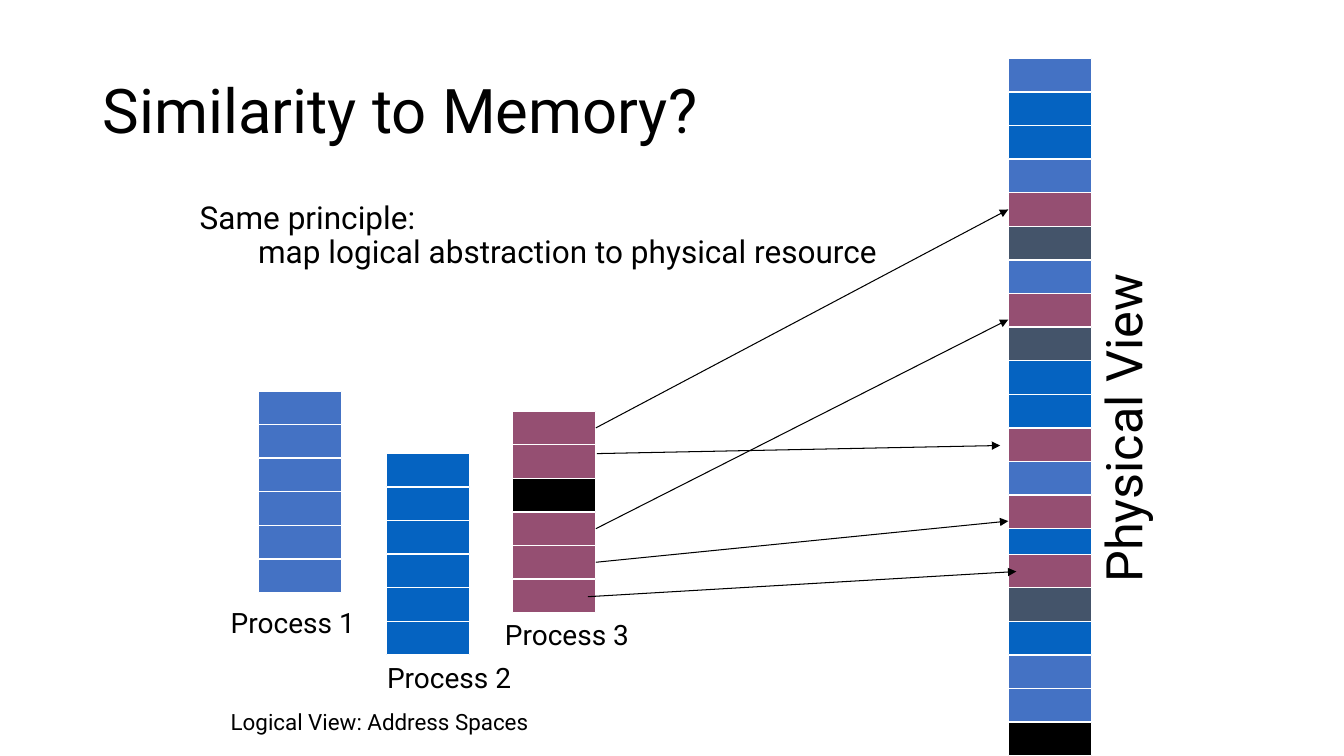
from dataclasses import dataclass

from lxml.etree import SubElement
from pptx import Presentation
from pptx.dml.color import RGBColor
from pptx.enum.shapes import MSO_CONNECTOR, MSO_SHAPE
from pptx.enum.text import MSO_ANCHOR, MSO_AUTO_SIZE, PP_ALIGN
from pptx.oxml.ns import qn
from pptx.util import Inches, Pt


@dataclass(frozen=True)
class Theme:
    """Colours, type sizes and measures of the deck."""
    font: str = "Roboto"
    ink: str = "000000"
    paper: str = "FFFFFF"
    process1: str = "4472C4"
    process2: str = "0563C1"
    process3: str = "954F72"
    system: str = "44546A"
    title: float = 44
    body: float = 22.5
    label: float = 20
    note: float = 16
    side: float = 36
    hairline: float = 0.75
    frame_width: float = 0.83
    frame_height: float = 0.33
    frame_step: float = 1 / 3


THEME = Theme()
COLOURS = {"1": THEME.process1, "2": THEME.process2, "3": THEME.process3,
           "s": THEME.system, "x": THEME.ink}
RIGHT, LEFT = 3, 1


def style(para, size):
    """Set the theme font on a left-aligned paragraph."""
    para.alignment = PP_ALIGN.LEFT
    para.space_before = Pt(0)
    para.font.name = THEME.font
    para.font.size = Pt(size)
    para.font.color.rgb = RGBColor.from_string(THEME.ink)


def fill_placeholder(holder, box, text, size, anchor, indent=0):
    """Move a placeholder to its box and write one paragraph into it."""
    holder.left, holder.top, holder.width, holder.height = map(Inches, box)
    frame = holder.text_frame
    frame.text = text
    frame.auto_size = MSO_AUTO_SIZE.NONE
    frame.vertical_anchor = anchor
    para = frame.paragraphs[0]
    properties = para._p.get_or_add_pPr()
    properties.set("marL", str(Inches(indent)))
    properties.set("indent", str(-Inches(indent)))
    SubElement(properties, qn("a:buNone"))
    para.line_spacing = 0.9
    style(para, size)


def add_label(page, box, text, size, rotation=0):
    """Add a one-line text box."""
    label = page.shapes.add_textbox(*map(Inches, box))
    label.rotation = rotation
    frame = label.text_frame
    frame.text = text
    frame.word_wrap = False
    frame.auto_size = MSO_AUTO_SIZE.SHAPE_TO_FIT_TEXT
    style(frame.paragraphs[0], size)


def add_frames(shapes, left, top, owners):
    """Stack one memory frame per owner code and return the frames."""
    frames = []
    for row, owner in enumerate(owners):
        frame = shapes.add_shape(
            MSO_SHAPE.RECTANGLE, Inches(left), Inches(top + row * THEME.frame_step),
            Inches(THEME.frame_width), Inches(THEME.frame_height))
        frame.shadow.inherit = False
        frame.fill.solid()
        frame.fill.fore_color.rgb = RGBColor.from_string(COLOURS[owner])
        frame.line.color.rgb = RGBColor.from_string(THEME.paper)
        frame.line.width = Pt(THEME.hairline)
        frames.append(frame)
    return frames


def add_arrow(page, start, end, source=None, target=None):
    """Draw a mapping arrow, joined to the given frames."""
    arrow = page.shapes.add_connector(
        MSO_CONNECTOR.STRAIGHT, *map(Inches, start + end))
    arrow.line.color.rgb = RGBColor.from_string(THEME.ink)
    arrow.line.width = Pt(THEME.hairline)
    SubElement(arrow.line._get_or_add_ln(), qn("a:tailEnd"), type="triangle")
    SubElement(arrow._element.spPr, qn("a:effectLst"))
    if source is not None:
        arrow.begin_connect(source, RIGHT)
    if target is not None:
        arrow.end_connect(target, LEFT)


def add_logical_view(page, left, top):
    """Draw the three address spaces and return the frames of process 3."""
    add_frames(page.shapes.add_group_shape().shapes, left + 0.37, top, "111111")
    add_frames(page.shapes.add_group_shape().shapes, left + 1.64, top + 0.62, "222222")
    process3 = add_frames(page.shapes, left + 2.89, top + 0.2, "33x333")
    labels = [("Process 1", 0, 2.08), ("Process 2", 1.55, 2.62),
              ("Process 3", 2.72, 2.2)]
    for text, across, down in labels:
        add_label(page, (left + across, top + down, 1.45, 0.44), text, THEME.label)
    add_label(page, (left, top + 3.1, 3.2, 0.37),
              "Logical View: Address Spaces", THEME.note)
    return process3


def add_physical_view(page, left, top):
    """Draw physical memory with its label and return its frames."""
    upper = add_frames(page.shapes, left, top, "12213s13s223132")
    lower = add_frames(page.shapes, left, top + 4.92, "3s211x")
    add_label(page, (left - 0.52, top + 3.29, 3.31, 0.71),
              "Physical View", THEME.side, rotation=270)
    return upper + lower


def add_mapping(page, logical, physical):
    """Map the pages of process 3 to frames of physical memory."""
    add_arrow(page, (5.92, 4.25), (10, 2.08), logical[0], physical[4])
    add_arrow(page, (5.92, 4.5), (9.92, 4.42))
    add_arrow(page, (5.92, 5.58), (10, 5.17), logical[4])
    add_arrow(page, (5.83, 5.92), (10.08, 5.67))
    add_arrow(page, (5.92, 5.25), (10, 3.17), logical[3])


def add_memory_slide(deck):
    """Build the slide that compares logical and physical memory."""
    page = deck.slides.add_slide(deck.slide_layouts[1])
    fill_placeholder(page.shapes.title, (0.92, 0.4, 11.5, 1.45),
                     "Similarity to Memory?", THEME.title, MSO_ANCHOR.MIDDLE)
    fill_placeholder(page.placeholders[1], (1.88, 1.96, 7.92, 0.83),
                     "Same principle:\vmap logical abstraction to physical resource",
                     THEME.body, MSO_ANCHOR.TOP, indent=0.58)
    logical = add_logical_view(page, 2.19, 3.88)
    physical = add_physical_view(page, 10, 0.58)
    add_mapping(page, logical, physical)


def main():
    """Create and save the deck."""
    deck = Presentation()
    deck.slide_width, deck.slide_height = Inches(13.33), Inches(7.5)
    add_memory_slide(deck)
    deck.save("out.pptx")


if __name__ == "__main__":
    main()
